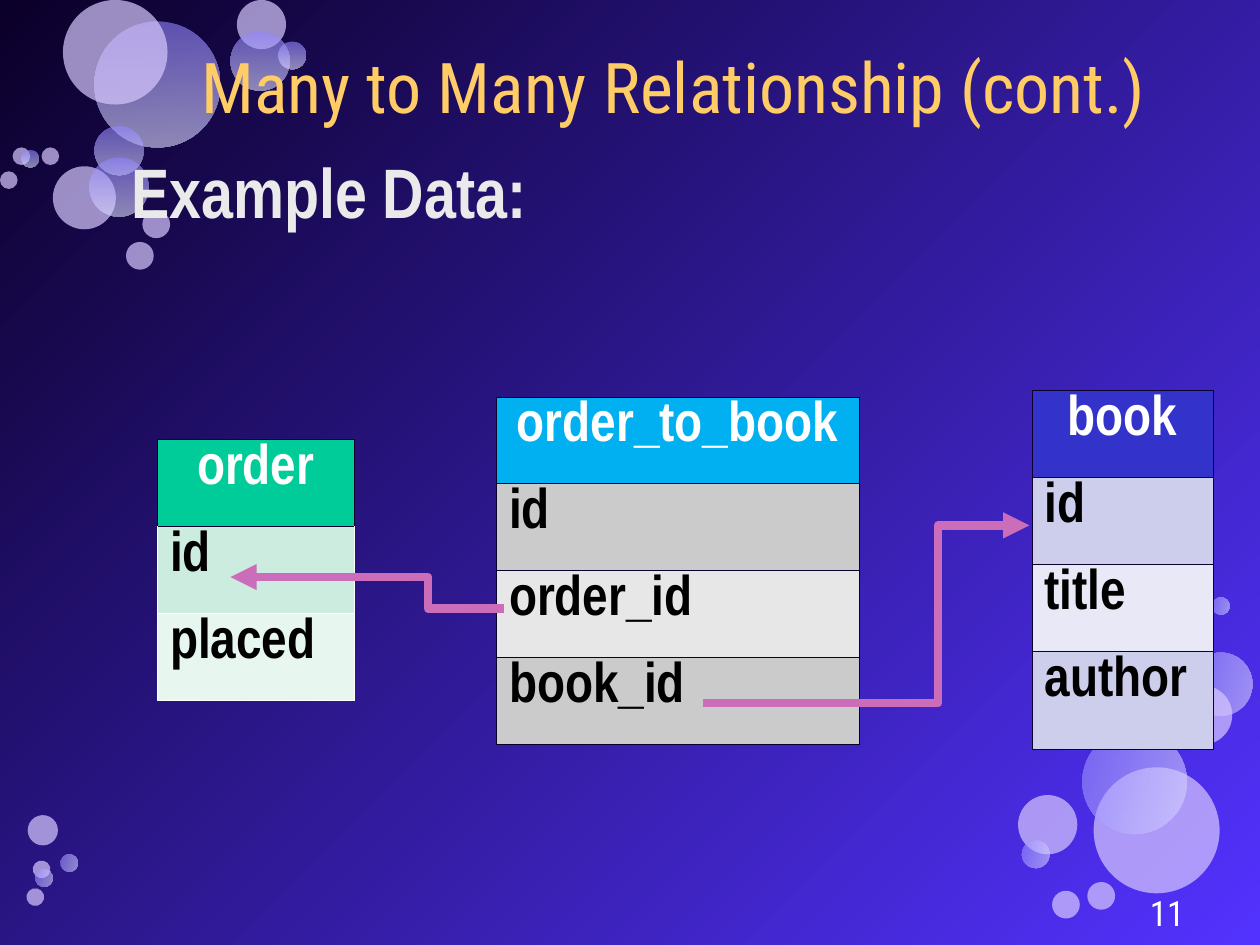
from lxml import etree
from pptx import Presentation
from pptx.dml.color import RGBColor
from pptx.enum.shapes import MSO_CONNECTOR, MSO_SHAPE
from pptx.enum.text import MSO_ANCHOR, PP_ALIGN
from pptx.oxml.ns import qn
from pptx.util import Inches, Pt

ELBOW = MSO_CONNECTOR.ELBOW
OVAL = MSO_SHAPE.OVAL
TOP, MIDDLE, BOTTOM = MSO_ANCHOR.TOP, MSO_ANCHOR.MIDDLE, MSO_ANCHOR.BOTTOM
LEFT, CENTER, RIGHT = PP_ALIGN.LEFT, PP_ALIGN.CENTER, PP_ALIGN.RIGHT

WHITE = RGBColor(0xFF, 0xFF, 0xFF)
BLACK = RGBColor(0x00, 0x00, 0x00)
NIGHT = RGBColor(0x0B, 0x00, 0x29)
VIOLET = RGBColor(0x53, 0x32, 0xFF)
PERIWINKLE = RGBColor(0x91, 0x85, 0xFF)
MIST = RGBColor(0xDE, 0xDC, 0xFF)
LILAC = RGBColor(0xD7, 0xC8, 0xFE)
GOLD = RGBColor(0xFF, 0xCC, 0x66)
PALE = RGBColor(0xEA, 0xEA, 0xEA)
PINK = RGBColor(0xCB, 0x6D, 0xB8)
BORDER = RGBColor(0x0C, 0x00, 0x2C)
CYAN = RGBColor(0x00, 0xB0, 0xF0)
GREY = RGBColor(0xCB, 0xCB, 0xCB)
LIGHT_GREY = RGBColor(0xE7, 0xE7, 0xE7)
BLUE = RGBColor(0x33, 0x33, 0xCC)
LAVENDER = RGBColor(0xCD, 0xCD, 0xEC)
LIGHT_LAVENDER = RGBColor(0xE8, 0xE8, 0xF6)
GREEN = RGBColor(0x00, 0xCC, 0x99)
MINT = RGBColor(0xCB, 0xEC, 0xDE)
LIGHT_MINT = RGBColor(0xE7, 0xF6, 0xEF)

HEADING_FONT, BODY_FONT = "Roboto Condensed", "Arial Narrow"
ROW_HEIGHT = 0.69
TURN = 103.3

# Bubbles: left, top, diameter, shaded
UPRIGHT_BUBBLES = [
    (0.75, 0.17, 1, True), (0.42, 1.32, 0.5, False), (0.75, 1, 0.39, True),
    (0.71, 1.25, 0.47, True), (0.5, 0, 0.83, False), (1.88, 0, 0.39, False),
    (1.83, 0.25, 0.47, True), (2.21, 0.33, 0.22, True), (1.13, 1.67, 0.22, False),
    (0.1, 1.17, 0.14, False), (1, 1.92, 0.22, False), (0, 1.36, 0.14, False),
    (0.17, 1.19, 0.14, True), (0.33, 1.17, 0.14, False),
]
TURNED_BUBBLES = [
    (8.68, 6.09, 1, False), (9.44, 5.18, 0.5, True), (9.07, 5.42, 0.39, False),
    (9.31, 5.44, 0.47, False), (8.59, 5.79, 0.83, True), (0.22, 6.47, 0.24, False),
    (8.08, 6.31, 0.47, False), (8.11, 6.67, 0.22, True), (8.35, 7.07, 0.22, False),
    (9.41, 4.8, 0.14, False), (8.63, 7, 0.22, False), (9.62, 4.74, 0.14, True),
    (9.42, 4.87, 0.14, True), (9.36, 5.02, 0.14, False), (0.26, 6.83, 0.14, False),
    (0.48, 6.78, 0.14, True), (0.28, 6.9, 0.14, True), (0.21, 7.05, 0.14, False),
]

# Entities: left, top, width, last row height, body side border, (field, fill) rows
ENTITIES = [
    (3.94, 3.15, 2.88, ROW_HEIGHT, BORDER,
     [("order_to_book", CYAN), ("id", GREY), ("order_id", LIGHT_GREY), ("book_id", GREY)]),
    (8.19, 3.1, 1.44, 0.78, BORDER,
     [("book", BLUE), ("id", LAVENDER), ("title", LIGHT_LAVENDER), ("author", LAVENDER)]),
    (1.25, 3.49, 1.56, ROW_HEIGHT, WHITE,
     [("order", GREEN), ("id", MINT), ("placed", LIGHT_MINT)]),
]

# Foreign keys: start, end, share of the width before the bend
FOREIGN_KEYS = [((4, 4.83), (1.83, 4.58), 0.278), ((5.58, 5.58), (8.17, 4.17), 0.72)]


def set_opacity(color_parent, percent):
    for color in color_parent.iter(qn("a:srgbClr")):
        etree.SubElement(color, qn("a:alpha"), val=str(percent * 1000))


def fill_gradient(fill, start, end, angle):
    """Shade from start to end; the angle runs counter-clockwise."""
    fill.gradient()
    fill.gradient_angle = angle
    for stop, color in zip(fill.gradient_stops, (start, end)):
        stop.color.rgb = color


def add_bubble(slide, left, top, size, shaded, turned):
    bubble = slide.shapes.add_shape(OVAL, Inches(left), Inches(top), Inches(size), Inches(size))
    bubble.shadow.inherit = False
    bubble.line.fill.background()
    if shaded:
        fill_gradient(bubble.fill, PERIWINKLE, MIST, 270)
    else:
        bubble.fill.solid()
        bubble.fill.fore_color.rgb = LILAC
    set_opacity(bubble._element.spPr, 60 if shaded else 70)
    if turned:
        bubble.rotation = TURN
        bubble._element.spPr.xfrm.set("flipV", "1")


def write(frame, text, size, font, color, align, spacing, bold=False):
    frame.text = text
    paragraph = frame.paragraphs[0]
    paragraph.alignment = align
    paragraph.line_spacing = spacing
    paragraph.font.size = Pt(size)
    paragraph.font.name = font
    paragraph.font.bold = bold
    paragraph.font.color.rgb = color
    return paragraph


def set_insets(frame, horizontal, vertical):
    frame.margin_left = frame.margin_right = Inches(horizontal)
    frame.margin_top = frame.margin_bottom = Inches(vertical)


def add_text(slide, left, top, width, height, anchor, insets):
    frame = slide.shapes.add_textbox(
        Inches(left), Inches(top), Inches(width), Inches(height)).text_frame
    frame.word_wrap = True
    frame.vertical_anchor = anchor
    set_insets(frame, *insets)
    return frame


def set_borders(cell, side_color, top_color, bottom_color):
    sides = {"lnL": side_color, "lnR": side_color, "lnT": top_color, "lnB": bottom_color}
    properties = cell._tc.get_or_add_tcPr()
    for side, color in sides.items():
        border = etree.SubElement(properties, qn("a:" + side), w=str(Pt(0.45)))
        solid = etree.SubElement(border, qn("a:solidFill"))
        etree.SubElement(solid, qn("a:srgbClr"), val=str(color))


def add_entity(slide, left, top, width, last_height, body_border, fields):
    heights = [ROW_HEIGHT] * (len(fields) - 1) + [last_height]
    table = slide.shapes.add_table(len(fields), 1, Inches(left), Inches(top),
                                   Inches(width), Inches(sum(heights))).table
    table.horz_banding = False
    for index, ((field, fill), height) in enumerate(zip(fields, heights)):
        table.rows[index].height = Inches(height)
        cell = table.cell(index, 0)
        header = index == 0
        set_borders(cell, BORDER if header else body_border,
                    BORDER if index < 2 else body_border,
                    BORDER if header else body_border)
        cell.fill.solid()
        cell.fill.fore_color.rgb = fill
        set_insets(cell, 0.1, 0.05)
        write(cell.text_frame, field, 32, BODY_FONT, WHITE if header else BLACK,
              CENTER if header else LEFT, 0.92, bold=True)


def add_foreign_key(slide, start, end, bend):
    arrow = slide.shapes.add_connector(ELBOW, *map(Inches, start + end))
    arrow.line.color.rgb = PINK
    arrow.line.width = Pt(5)
    properties = arrow._element.spPr
    etree.SubElement(properties.find(qn("a:ln")), qn("a:tailEnd"), type="triangle")
    etree.SubElement(properties, qn("a:effectLst"))
    adjustments = properties.find(qn("a:prstGeom")).get_or_add_avLst()
    etree.SubElement(adjustments, qn("a:gd"), name="adj1", fmla=f"val {round(bend * 100000)}")


def main():
    deck = Presentation()
    deck.slide_width, deck.slide_height = Inches(10), Inches(7.5)
    slide = deck.slides.add_slide(deck.slide_layouts[5])
    fill_gradient(slide.background.fill, NIGHT, VIOLET, 315)

    for bubbles, turned in ((UPRIGHT_BUBBLES, False), (TURNED_BUBBLES, True)):
        for bubble in bubbles:
            add_bubble(slide, *bubble, turned)

    title = slide.shapes.title
    slide.shapes._spTree.append(title._element)  # in front of the bubbles
    title.left, title.top = Inches(0.94), Inches(0.19)
    title.width, title.height = Inches(8.81), Inches(0.87)
    title.text_frame.vertical_anchor = BOTTOM
    set_insets(title.text_frame, 0.1, 0.05)
    write(title.text_frame, "Many to Many Relationship (cont.)", 40, HEADING_FONT, GOLD,
          CENTER, 1.12)

    subtitle = add_text(slide, 1.04, 1.25, 8.81, 0.69, TOP, (0, 0))
    write(subtitle, "Example Data:", 40, BODY_FONT, PALE, LEFT, 0.91,
          bold=True).space_before = Pt(8)

    for entity in ENTITIES:
        add_entity(slide, *entity)
    for foreign_key in FOREIGN_KEYS:
        add_foreign_key(slide, *foreign_key)

    page_number = add_text(slide, 7.17, 7.13, 2.33, 0.28, MIDDLE, (0.1, 0.05))
    write(page_number, "11", 20, HEADING_FONT, WHITE, RIGHT, 0.82)

    deck.save("out.pptx")


if __name__ == "__main__":
    main()
